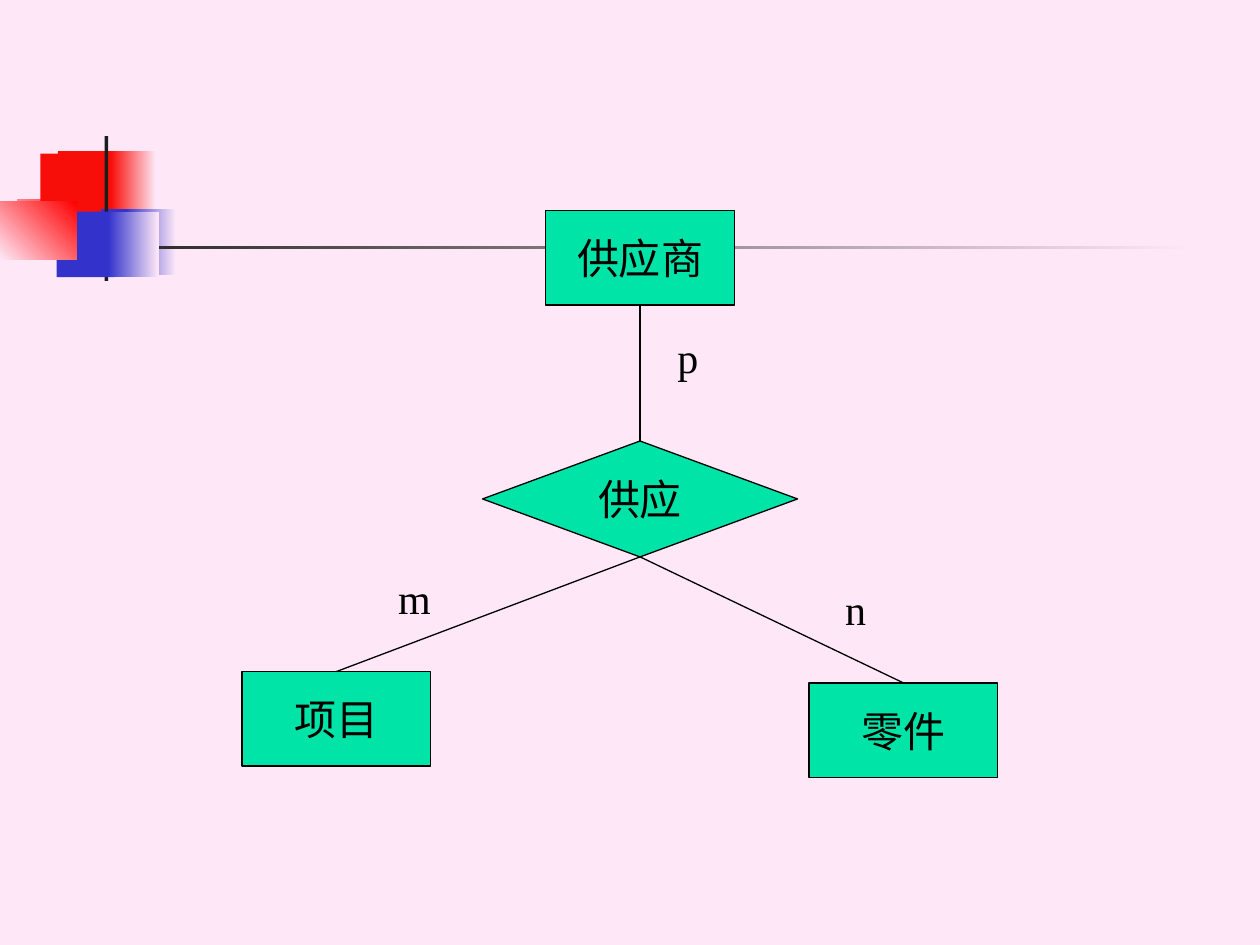
from dataclasses import dataclass

from pptx import Presentation
from pptx.dml.color import RGBColor
from pptx.enum.shapes import MSO_CONNECTOR, MSO_SHAPE
from pptx.enum.text import MSO_ANCHOR, PP_ALIGN
from pptx.oxml.ns import qn
from pptx.util import Pt
from lxml import etree

RECTANGLE, DIAMOND = MSO_SHAPE.RECTANGLE, MSO_SHAPE.DIAMOND
STRAIGHT = MSO_CONNECTOR.STRAIGHT
MIDDLE, CENTER = MSO_ANCHOR.MIDDLE, PP_ALIGN.CENTER
EMU_PER_PX = 9144  # 100 px to the inch
TOP_SITE, BOTTOM_SITE = 0, 2


@dataclass(frozen=True)
class Theme:
    background: str = "FEE8F7"
    red: str = "F80E08"
    bright_red: str = "FF0000"
    blue: str = "3333CC"
    dark: str = "1C1C1C"
    node: str = "00E4A8"
    ink: str = "000000"
    font: str = "Times New Roman"
    text_size: int = 24
    line_width: float = 0.75


THEME = Theme()


def px(value):
    return int(value * EMU_PER_PX)


def color(code):
    return RGBColor.from_string(code)


def add_block(slide, box, fill, kind=RECTANGLE, angle=0, outlined=False):
    """Add a shape; a pair of colours as fill makes a gradient."""
    shape = slide.shapes.add_shape(kind, *map(px, box))
    shape.shadow.inherit = False
    if isinstance(fill, tuple):
        shape.fill.gradient()
        shape.fill.gradient_angle = angle
        for stop, code in zip(shape.fill.gradient_stops, fill):
            stop.color.rgb = color(code)
    else:
        shape.fill.solid()
        shape.fill.fore_color.rgb = color(fill)
    if outlined:
        style_line(shape.line)
    else:
        shape.line.fill.background()
    return shape


def style_line(line):
    line.color.rgb = color(THEME.ink)
    line.width = Pt(THEME.line_width)


def write_text(shape, text):
    frame = shape.text_frame
    frame.word_wrap = False
    frame.vertical_anchor = MIDDLE
    paragraph = frame.paragraphs[0]
    paragraph.alignment = CENTER
    run = paragraph.add_run()
    run.text = text
    font_format = {"name": THEME.font, "size": Pt(THEME.text_size)}
    for name, value in font_format.items():
        setattr(run.font, name, value)
    run.font.color.rgb = color(THEME.ink)


def add_tiles(slide, left, top, with_red_fade):
    """Overlapping colour tiles, placed from the corner of the cluster."""
    paper = THEME.background
    tiles = [((32, 0, 48, 52), THEME.red, 0)]
    if with_red_fade:
        tiles.append(((74, 0, 36, 52), (THEME.red, paper), 0))
    tiles += [
        ((45, 46, 46, 52), THEME.blue, 0),
        ((86, 46, 40, 52), (THEME.blue, paper), 0),
        ((0, 38, 61, 46), (paper, THEME.bright_red), 45),
    ]
    for (x, y, width, height), fill, angle in tiles:
        add_block(slide, (left + x, top + y, width, height), fill, angle=angle)


def add_decoration(slide, left, top):
    add_tiles(slide, left + 14, top + 12, True)
    # Upright bar and fading rule
    add_block(slide, (left + 83, top, 3, 115), THEME.dark)
    add_block(slide, (left + 48, top + 87, 900, 3),
              (THEME.dark, THEME.background))
    add_tiles(slide, left, top + 14, False)


def add_link(slide, start, start_site, end, end_site):
    connector = slide.shapes.add_connector(STRAIGHT, 0, 0, 0, 0)
    connector.begin_connect(start, start_site)
    connector.end_connect(end, end_site)
    style_line(connector.line)
    etree.SubElement(connector._element.spPr, qn("a:effectLst"))


def add_diagram(slide, left, top):
    """Three entities joined by one relationship."""
    def add_node(box, text, kind=RECTANGLE):
        x, y, width, height = box
        shape = add_block(slide, (left + x, top + y, width, height),
                          THEME.node, kind, outlined=True)
        write_text(shape, text)
        return shape

    # Entities and relationship
    supplier = add_node((241, 0, 150, 75), "供应商")
    project = add_node((0, 366, 150, 75), "项目")
    part = add_node((450, 375, 150, 75), "零件")
    supply = add_node((191, 183, 250, 92), "供应", DIAMOND)

    # Links
    add_link(slide, supply, BOTTOM_SITE, project, TOP_SITE)
    add_link(slide, supply, BOTTOM_SITE, part, TOP_SITE)
    add_link(slide, supply, TOP_SITE, supplier, BOTTOM_SITE)

    # Cardinalities
    for x, y, text in ((333, 100, "p"), (116, 291, "m"), (466, 300, "n")):
        label = add_block(slide, (left + x, top + y, 42, 33),
                          THEME.background)
        write_text(label, text)


def main():
    presentation = Presentation()
    presentation.slide_width, presentation.slide_height = px(1000), px(750)
    slide = presentation.slides.add_slide(presentation.slide_layouts[6])
    slide.background.fill.solid()
    slide.background.fill.fore_color.rgb = color(THEME.background)
    add_decoration(slide, 0, 108)
    add_diagram(slide, 192, 167)
    presentation.save("out.pptx")


if __name__ == "__main__":
    main()
